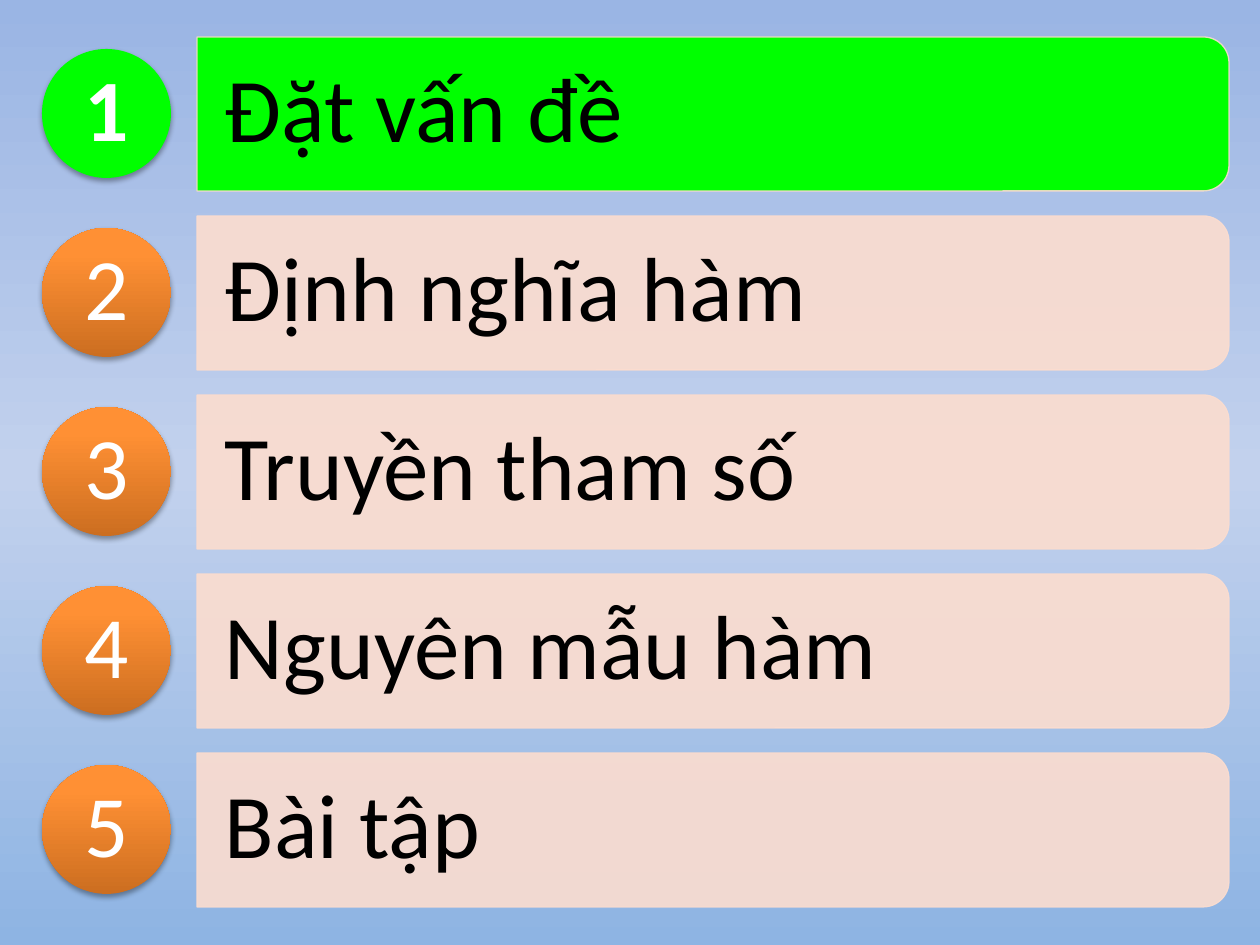
import dataclasses

import lxml.etree
import pptx
import pptx.dml.color
import pptx.enum.shapes
import pptx.enum.text
import pptx.oxml.ns
import pptx.util

SHAPE = pptx.enum.shapes.MSO_SHAPE
ALIGN = pptx.enum.text.PP_ALIGN
qn = pptx.oxml.ns.qn
EMU_PER_PX = 914400 / 126


@dataclasses.dataclass(frozen=True)
class Theme:
    font: str = "Calibri"
    topic_size: int = 52
    number_size: int = 50
    topic_ink: str = "000000"
    number_ink: str = "FFFFFF"
    active: str = "00FF00"
    bar: str = "FCDDCF"
    bar_opacity: int = 90
    shadow: str = "000000"
    shadow_opacity: int = 35
    sky: tuple = ((0, "9AB5E4"), (50, "C2D1ED"), (100, "8EB4E3"))
    orange: tuple = ((0, "CC6E20"), (80, "FF9034"), (100, "FF9136"))


def px(length):
    return pptx.util.Emu(round(length * EMU_PER_PX))


def rgb(code):
    return pptx.dml.color.RGBColor.from_string(code)


def add_node(parent, tag, **attributes):
    node = lxml.etree.SubElement(parent, qn(tag))
    for name, value in attributes.items():
        node.set(name, str(value))
    return node


def paint_gradient(fill, element, stops, angle):
    """Fill with colour stops; the angle turns counter-clockwise."""
    fill.gradient()
    fill.gradient_angle = angle
    stop_list = element.xpath(".//a:gradFill/a:gsLst")[0]
    for old in list(stop_list):
        stop_list.remove(old)
    for position, code in stops:
        stop = add_node(stop_list, "a:gs", pos=position * 1000)
        add_node(stop, "a:srgbClr", val=code)


def write(box, text, *, font, size, color, bold=False,
          align=ALIGN.LEFT, inset=(0, 0)):
    frame = box.text_frame
    frame.word_wrap = True
    frame.vertical_anchor = pptx.enum.text.MSO_ANCHOR.MIDDLE
    frame.margin_left = frame.margin_right = px(inset[0])
    frame.margin_top = frame.margin_bottom = px(inset[1])
    para = frame.paragraphs[0]
    para.alignment = align
    para.line_spacing = 0.9
    span = para.add_run()
    span.text = text
    span.font.name = font
    span.font.size = pptx.util.Pt(size)
    span.font.bold = bold
    span.font.color.rgb = rgb(color)


class Agenda:
    def __init__(self, page, theme):
        self.page = page
        self.theme = theme

    def background(self):
        paint_gradient(self.page.background.fill, self.page.element,
                       self.theme.sky, 270)

    def shape(self, kind, left, top, width, height):
        shape = self.page.shapes.add_shape(
            kind, px(left), px(top), px(width), px(height))
        shape.shadow.inherit = False
        return shape

    def bar(self, left, top, width, height, active):
        # The rounded top is turned to the right about the bar's centre
        shift = (width - height) / 2
        bar = self.shape(SHAPE.ROUND_2_SAME_RECTANGLE,
                         left + shift, top - shift, height, width)
        bar.rotation = 90
        bar.fill.solid()
        bar.fill.fore_color.rgb = rgb(
            self.theme.active if active else self.theme.bar)
        if not active:
            color = bar.element.spPr.find(qn("a:solidFill"))[0]
            add_node(color, "a:alpha", val=self.theme.bar_opacity * 1000)
        bar.line.width = pptx.util.Pt(0.75)
        bar.line.color.rgb = rgb(self.theme.bar)
        color = bar.element.spPr.find(qn("a:ln")).find(qn("a:solidFill"))[0]
        add_node(color, "a:alpha", val=self.theme.bar_opacity * 1000)

    def topic(self, text, left, top, width, height):
        box = self.page.shapes.add_textbox(
            px(left), px(top), px(width), px(height))
        write(box, text, font=self.theme.font, size=self.theme.topic_size,
              color=self.theme.topic_ink, inset=(28, 18))

    def badge(self, number, left, top, size, active):
        badge = self.shape(SHAPE.OVAL, left, top, size, size)
        badge.line.fill.background()
        if active:
            badge.fill.solid()
            badge.fill.fore_color.rgb = rgb(self.theme.active)
        else:
            paint_gradient(badge.fill, badge.element, self.theme.orange, 90)
        effects = badge.element.spPr.find(qn("a:effectLst"))
        shadow = add_node(effects, "a:outerShdw",
                          blurRad=pptx.util.Pt(3.1), dist=pptx.util.Pt(1.8),
                          dir=90 * 60000, rotWithShape=0)
        color = add_node(shadow, "a:srgbClr", val=self.theme.shadow)
        add_node(color, "a:alpha", val=self.theme.shadow_opacity * 1000)
        write(badge, str(number), font=self.theme.font,
              size=self.theme.number_size, color=self.theme.number_ink,
              bold=active, align=ALIGN.CENTER)


def main():
    topics = ("Đặt vấn đề", "Định nghĩa hàm", "Truyền tham số",
              "Nguyên mẫu hàm", "Bài tập")
    active_number = 1
    first_top, row_pitch = 37, 179

    deck = pptx.Presentation()
    deck.slide_width, deck.slide_height = px(1260), px(945)
    page = deck.slides.add_slide(deck.slide_layouts[6])
    agenda = Agenda(page, Theme())
    agenda.background()

    # One row per topic: bar, topic text, numbered badge
    for number, text in enumerate(topics, start=1):
        top = first_top + (number - 1) * row_pitch
        active = number == active_number
        agenda.bar(197, top, 1032, 154, active)
        agenda.topic(text, 197, top + 7, 1024, 139)
        agenda.badge(number, 42, top + 12, 129, active)

    deck.save("out.pptx")


if __name__ == "__main__":
    main()
